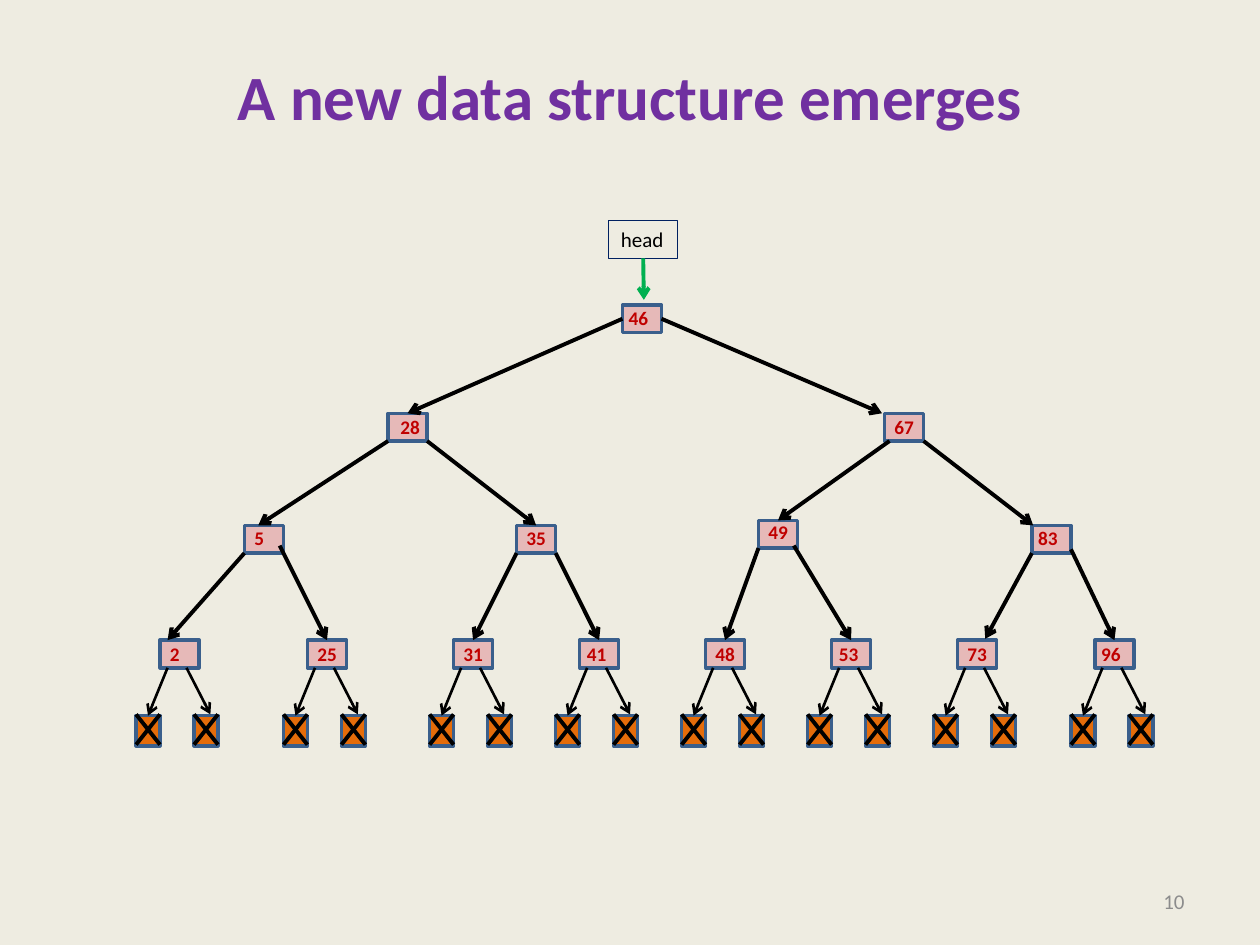
from lxml import etree
from pptx import Presentation
from pptx.dml.color import RGBColor
from pptx.enum.shapes import MSO_CONNECTOR, MSO_SHAPE
from pptx.enum.text import MSO_ANCHOR, MSO_AUTO_SIZE, PP_ALIGN
from pptx.oxml.ns import qn
from pptx.util import Inches, Pt

RECTANGLE = MSO_SHAPE.RECTANGLE
STRAIGHT = MSO_CONNECTOR.STRAIGHT
MIDDLE, TOP = MSO_ANCHOR.MIDDLE, MSO_ANCHOR.TOP
LEFT, CENTER, RIGHT = PP_ALIGN.LEFT, PP_ALIGN.CENTER, PP_ALIGN.RIGHT
FIT_SHAPE = MSO_AUTO_SIZE.SHAPE_TO_FIT_TEXT
SITE_TOP, SITE_LEFT, SITE_BOTTOM, SITE_RIGHT = range(4)

BACKGROUND = RGBColor(0xEE, 0xEC, 0xE1)
PURPLE = RGBColor(0x70, 0x30, 0xA0)
GRAY = RGBColor(0x8C, 0x8C, 0x8C)
PINK = RGBColor(0xE6, 0xB9, 0xB8)
ORANGE = RGBColor(0xE4, 0x6C, 0x0A)
BLUE = RGBColor(0x3A, 0x5F, 0x8C)
NAVY = RGBColor(0x00, 0x20, 0x60)
GREEN = RGBColor(0x00, 0xB0, 0x50)
RED = RGBColor(0xC0, 0x00, 0x00)
BLACK = RGBColor(0, 0, 0)

NODE_W, NODE_H = 0.31, 0.22
NULL_W, NULL_H = 0.19, 0.24
NULL_TOP, CROSS_TOP = 5.68, 5.67
LEAF_TOP = 5.08

# value: (node left, node top, label left, label top)
NODES = {
    46: (4.94, 2.42, 4.89, 2.38),
    28: (3.08, 3.28, 3.08, 3.25),
    67: (7.02, 3.28, 7, 3.25),
    5: (1.94, 4.17, 1.92, 4.13),
    35: (4.1, 4.17, 4.08, 4.13),
    49: (6.02, 4.13, 6, 4.08),
    83: (8.19, 4.17, 8.14, 4.13),
    2: (1.27, LEAF_TOP, 1.25, 5.05),
    25: (2.44, LEAF_TOP, 2.42, 5.05),
    31: (3.6, LEAF_TOP, 3.58, 5.05),
    41: (4.6, LEAF_TOP, 4.56, 5.05),
    48: (5.6, LEAF_TOP, 5.58, 5.05),
    53: (6.6, LEAF_TOP, 6.56, 5.05),
    73: (7.6, LEAF_TOP, 7.58, 5.05),
    96: (8.69, LEAF_TOP, 8.64, 5.05),
}
CHILDREN = {46: (28, 67), 28: (5, 35), 67: (49, 83), 5: (2, 25),
            35: (31, 41), 49: (48, 53), 83: (73, 96)}
# Links, by child, that leave their parent away from its bottom corner
LINK_STARTS = {49: (7.06, 3.5), 25: (2.22, 4.33), 53: (6.3, 4.33), 96: (8.5, 4.36)}
# Links that reach their child away from the middle of its top
LINK_ENDS = {67: (7, 3.28), 5: (2.05, 4.17), 83: (8.2, 4.17),
             2: (1.33, LEAF_TOP), 73: (7.82, 5.07)}


def write(frame, text, size=11, color=BLACK, bold=False, align=LEFT, anchor=TOP,
          wrap=True, fit=MSO_AUTO_SIZE.NONE):
    frame.word_wrap = wrap
    frame.auto_size = fit
    frame.vertical_anchor = anchor
    paragraph = frame.paragraphs[0]
    paragraph.alignment = align
    run = paragraph.add_run()
    run.text = text
    run.font.name = "Calibri"
    run.font.size = Pt(size)
    run.font.bold = bold
    run.font.color.rgb = color


class TreeSlide:
    """Holds the slide and draws the parts of the tree in one style."""

    def __init__(self, deck):
        self.slide = deck.slides.add_slide(deck.slide_layouts[5])
        self.shapes = self.slide.shapes
        self.slide.background.fill.solid()
        self.slide.background.fill.fore_color.rgb = BACKGROUND

    def title(self, text):
        title = self.shapes.title
        title.left, title.top = Inches(0.5), Inches(0.3)
        title.width, title.height = Inches(9), Inches(1.25)
        title.text_frame.margin_bottom = Inches(0.38)
        write(title.text_frame, text, size=36, color=PURPLE, bold=True,
              align=CENTER, anchor=MIDDLE)

    def text(self, text, left, top, width, height, **style):
        box = self.shapes.add_textbox(Inches(left), Inches(top),
                                      Inches(width), Inches(height))
        write(box.text_frame, text, **style)

    def box(self, left, top, width, height, fill=None, line=BLUE, weight=2):
        box = self.shapes.add_shape(RECTANGLE, Inches(left), Inches(top),
                                    Inches(width), Inches(height))
        box.shadow.inherit = False
        if fill is None:
            box.fill.background()
        else:
            box.fill.solid()
            box.fill.fore_color.rgb = fill
        box.line.color.rgb = line
        box.line.width = Pt(weight)
        return box

    def line(self, start, end, color=BLACK, weight=2.25, arrow=False):
        """Join two ends, each a point (x, y) or a pair (box, connection site)."""
        link = self.shapes.add_connector(STRAIGHT, 0, 0, 0, 0)
        if hasattr(start[0], "shape_id"):
            link.begin_connect(*start)
        else:
            link.begin_x, link.begin_y = map(Inches, start)
        if hasattr(end[0], "shape_id"):
            link.end_connect(*end)
        else:
            link.end_x, link.end_y = map(Inches, end)
        link.line.color.rgb = color
        link.line.width = Pt(weight)
        if arrow:
            etree.SubElement(link.line._get_or_add_ln(), qn("a:tailEnd"), type="arrow")
        etree.SubElement(link._element.spPr, qn("a:effectLst"))

    def null(self, left):
        """Draw a crossed-out box for an empty subtree."""
        null = self.box(left, NULL_TOP, NULL_W, NULL_H, fill=ORANGE)
        right, bottom = left + NULL_W, CROSS_TOP + NULL_H
        self.line((right, CROSS_TOP), (left, bottom))
        self.line((left, CROSS_TOP), (right, bottom))
        return null

    def null_pair(self, leaf_left):
        leaf_bottom = LEAF_TOP + NODE_H
        left_null = self.null(leaf_left - 0.19)
        self.line((leaf_left + 0.06, leaf_bottom), (left_null, SITE_TOP),
                  weight=1.5, arrow=True)
        self.null(leaf_left + 0.27)
        self.line((leaf_left + 0.21, leaf_bottom), (leaf_left + 0.4, CROSS_TOP),
                  weight=1.5, arrow=True)


def draw_tree(tree):
    boxes = {value: tree.box(left, top, NODE_W, NODE_H, fill=PINK)
             for value, (left, top, *_) in NODES.items()}
    for value, (left, *_) in NODES.items():
        if value not in CHILDREN:
            tree.null_pair(left)

    for parent, children in CHILDREN.items():
        left, top, *_ = NODES[parent]
        for child, x, site in zip(children, (left, left + NODE_W),
                                  (SITE_LEFT, SITE_RIGHT)):
            corner = (x, top + NODE_H)
            start = (boxes[parent], site) if parent == 46 else LINK_STARTS.get(child, corner)
            end = LINK_ENDS.get(child, (boxes[child], SITE_TOP))
            tree.line(start, end, arrow=True)

    head = tree.box(4.83, 1.75, 0.55, 0.3, line=NAVY, weight=0.75)
    write(head.text_frame, "head", size=12, fit=FIT_SHAPE)
    tree.line((head, SITE_BOTTOM), (5.11, 2.38), color=GREEN, arrow=True)

    for value, (_, _, left, top) in NODES.items():
        tree.text(str(value), left, top, 0.28 if value < 10 else 0.36, 0.29,
                  color=RED, bold=True, wrap=False, fit=FIT_SHAPE)


def main():
    deck = Presentation()
    deck.slide_width, deck.slide_height = Inches(10), Inches(7.5)
    tree = TreeSlide(deck)
    tree.title("A new data structure emerges")
    tree.text("10", 7.17, 6.95, 2.33, 0.4, size=12, color=GRAY,
              align=RIGHT, anchor=MIDDLE)
    draw_tree(tree)
    deck.save("out.pptx")


if __name__ == "__main__":
    main()
